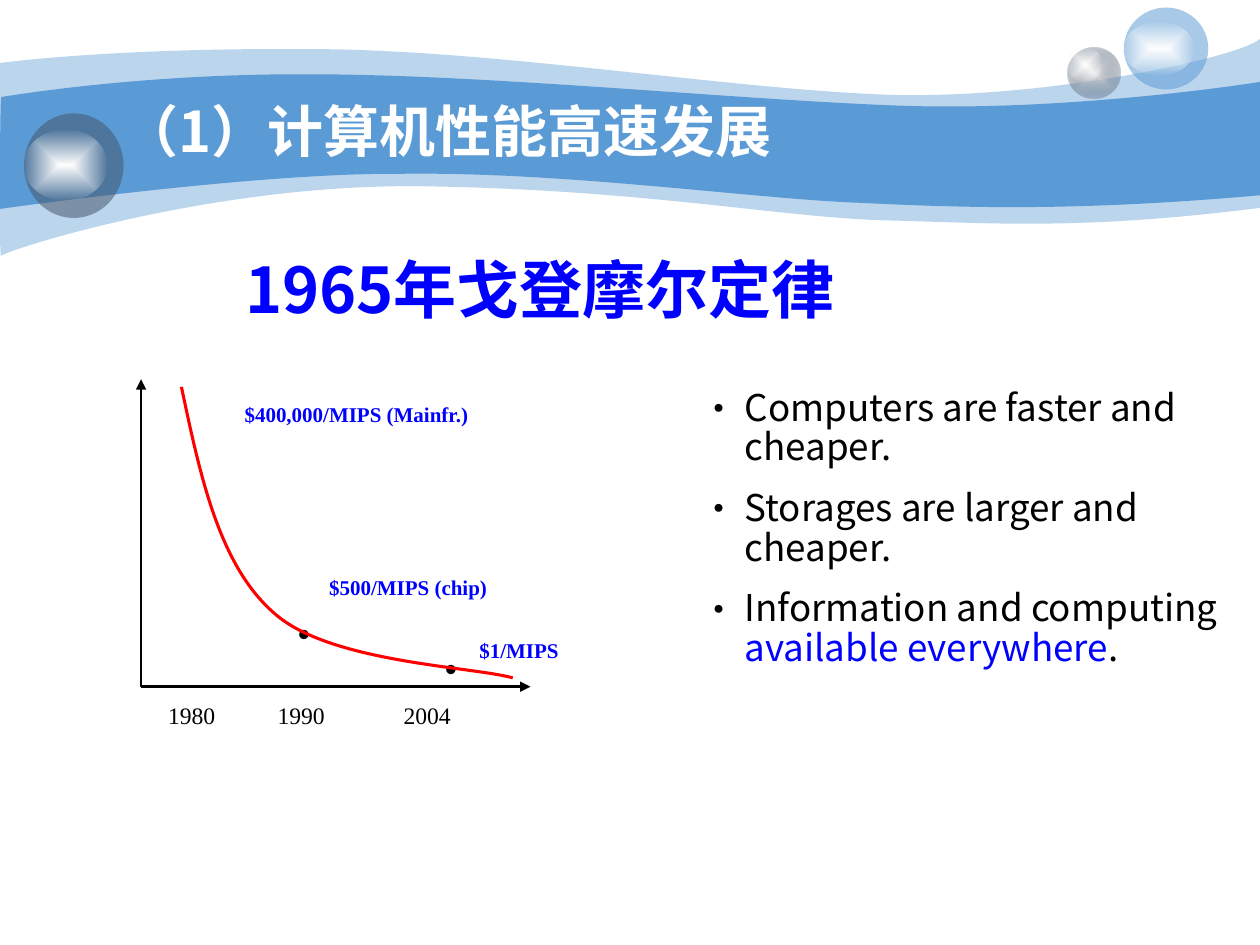
from typing import NamedTuple, Optional

from lxml import etree
from pptx import Presentation
from pptx.dml.color import RGBColor
from pptx.enum.shapes import MSO_CONNECTOR, MSO_SHAPE
from pptx.enum.text import MSO_ANCHOR, MSO_AUTO_SIZE, PP_ALIGN
from pptx.oxml import parse_xml
from pptx.oxml.ns import nsdecls, qn
from pptx.util import Emu, Inches, Pt

STRAIGHT, OVAL = MSO_CONNECTOR.STRAIGHT, MSO_SHAPE.OVAL
MIDDLE, TOP = MSO_ANCHOR.MIDDLE, MSO_ANCHOR.TOP
LEFT, CENTER = PP_ALIGN.LEFT, PP_ALIGN.CENTER
NO_FIT = MSO_AUTO_SIZE.NONE

SANS, SERIF = "Noto Sans CJK SC", "Times New Roman"
COLORS = {
    "white": "FFFFFF", "black": "000000", "blue": "0000FF", "red": "FF0000",
    "band": "5B9BD5", "slate": "44546A", "silver": "E2E3E5",
}

prs = Presentation()
prs.slide_width, prs.slide_height = Inches(10), Inches(7.5)
COLUMNS, ROWS = 100, 75
CELL_W, CELL_H = prs.slide_width / COLUMNS, prs.slide_height / ROWS


class Box(NamedTuple):
    col: float
    row: float
    cols: float
    rows: float

    def emu(self) -> tuple:
        return (*grid(self.col, self.row), *grid(self.cols, self.rows))


class Style(NamedTuple):
    size: float
    color: str
    font: str = SANS
    bold: bool = False


class Stop(NamedTuple):
    position: int
    color: str
    alpha: int


class Bubble(NamedTuple):
    box: Box
    stops: tuple


class Label(NamedTuple):
    text: str
    box: Box
    style: Style
    wrap: bool = False


def grid(col: float, row: float) -> tuple:
    return Emu(round(col * CELL_W)), Emu(round(row * CELL_H))


def rgb(name: str) -> RGBColor:
    return RGBColor.from_string(COLORS[name])


def color_xml(name: str, alpha: int) -> str:
    return f'<a:srgbClr val="{COLORS[name]}"><a:alpha val="{alpha * 1000}"/></a:srgbClr>'


def set_fill(sp, stops: tuple) -> None:
    """One stop gives a plain fill, more give a gradient from the centre outwards."""
    sp.fill.background()
    if len(stops) == 1:
        xml = f"<a:solidFill {nsdecls('a')}>{color_xml(stops[0].color, stops[0].alpha)}</a:solidFill>"
    else:
        marks = "".join(f'<a:gs pos="{s.position * 1000}">{color_xml(s.color, s.alpha)}</a:gs>'
                        for s in stops)
        xml = (f"<a:gradFill {nsdecls('a')} rotWithShape=\"1\"><a:gsLst>{marks}</a:gsLst>"
               '<a:path path="shape"><a:fillToRect l="50000" t="50000" r="50000" b="50000"/>'
               "</a:path></a:gradFill>")
    pr = sp._element.spPr
    pr.replace(pr.find(qn("a:noFill")), parse_xml(xml))


def add_bubble(bubble: Bubble) -> None:
    sp = slide.shapes.add_shape(OVAL, *bubble.box.emu())
    sp.shadow.inherit = False
    set_fill(sp, bubble.stops)
    sp.line.fill.background()


def add_curve(start: tuple, segments: tuple, closed: bool):
    """Segments of six numbers are cubic curves, segments of two are straight."""
    builder = slide.shapes.build_freeform(*grid(*start), scale=1.0)
    builder.add_line_segments([grid(*seg[-2:]) for seg in segments], close=closed)
    sp = builder.convert_to_shape()
    sp.shadow.inherit = False
    path = next(sp._element.iter(qn("a:path")))
    for seg, step in zip(segments, path.findall(qn("a:lnTo"))):
        if len(seg) == 2:
            continue
        curve = etree.Element(qn("a:cubicBezTo"))
        for col, row in zip(seg[::2], seg[1::2]):
            x, y = grid(col, row)
            etree.SubElement(curve, qn("a:pt"), x=str(x - sp.left), y=str(y - sp.top))
        path.replace(step, curve)
    return sp


def add_axis(start: tuple, end: tuple) -> None:
    axis = slide.shapes.add_connector(STRAIGHT, *grid(*start), *grid(*end))
    axis.line.color.rgb = rgb("black")
    axis.line.width = Pt(1.5)
    etree.SubElement(axis.line._get_or_add_ln(), qn("a:tailEnd"), type="triangle")
    etree.SubElement(axis._element.spPr, qn("a:effectLst"))


def add_run(p, text: str, style: Style):
    r = p.add_run()
    r.text = text
    r.font.size, r.font.bold, r.font.name = Pt(style.size), style.bold, style.font
    r.font.color.rgb = rgb(style.color)
    r._r.rPr.find(qn("a:latin")).addnext(
        parse_xml(f'<a:ea {nsdecls("a")} typeface="{style.font}"/>'))
    return r


def format_frame(sp, box: Box, anchor, wrap: bool = True):
    sp.left, sp.top, sp.width, sp.height = box.emu()
    tf = sp.text_frame
    tf.auto_size, tf.word_wrap, tf.vertical_anchor = NO_FIT, wrap, anchor
    return tf


def add_line_of_text(tf, text: str, style: Style, align, spacing: Optional[float] = None):
    p = tf.paragraphs[0]
    p.alignment, p.line_spacing = align, spacing
    return add_run(p, text, style)


def add_label(label: Label) -> None:
    sp = slide.shapes.add_textbox(*label.box.emu())
    tf = format_frame(sp, label.box, TOP, label.wrap)
    add_line_of_text(tf, label.text, label.style, CENTER)


def add_bullet(p) -> None:
    pPr = p._p.get_or_add_pPr()
    pPr.set("marL", str(Inches(0.25)))
    pPr.set("indent", str(-Inches(0.25)))
    color = etree.SubElement(pPr, qn("a:buClr"))
    etree.SubElement(color, qn("a:srgbClr"), val=COLORS["black"])
    etree.SubElement(pPr, qn("a:buSzPct"), val="50000")
    etree.SubElement(pPr, qn("a:buChar"), char="●")


OUTER_BAND = ((2.4, 4.7, 10.7, 3.8, 24.7, 3.9), (38.6, 3.9, 57.5, 7, 69.9, 7.5),
              (82.2, 8, 98, 4.7, 100, 3.1), (100, 16.5),
              (85.8, 18.3, 78.7, 17.7, 70.5, 17.5), (62.2, 17.3, 51.5, 15.1, 34.3, 14.8),
              (17.2, 14.4, 0.4, 19.9, 0.1, 20.3), (-0.1, 20.8, 0, 7.5, 0, 5))
INNER_BAND = ((0.2, 7.7, 11, 5.8, 24.8, 5.9), (38.6, 5.9, 59.5, 8, 71.8, 8.4),
              (84.1, 8.8, 97.6, 6.9, 100, 6.5), (100, 15.5),
              (85.3, 16.8, 76.5, 16.5, 68.2, 16.1), (59.9, 15.8, 44.7, 13.6, 31.7, 13.8),
              (20.3, 13.7, -0.2, 16.6, -0.1, 16.6), (0, 16.6, 0, 7.7, 0.1, 7.7))
PRICE_CURVE = ((15.9, 37.8, 17.4, 44.9, 21.8, 48.7), (26.2, 52.6, 37.5, 52.9, 40.7, 53.8))

GLOSS = (Stop(0, "white", 100), Stop(100, "white", 0))
BUBBLES = (
    Bubble(Box(84.7, 3.8, 4.2, 4), (Stop(0, "silver", 100), Stop(100, "slate", 31))),
    Bubble(Box(84.7, 3.8, 2.8, 2.7), GLOSS),
    Bubble(Box(89.2, 0.6, 6.7, 6.5), (Stop(0, "band", 53),)),
    Bubble(Box(89.2, 1.7, 5.6, 4.3), GLOSS),
    Bubble(Box(1.9, 9, 7.9, 8.3), (Stop(0, "slate", 53),)),
    Bubble(Box(1.9, 10.3, 6.6, 5.6), GLOSS),
)

YEAR = Style(13.5, "black", SERIF)
PRICE = Style(12, "blue", SERIF, True)
DOT = Style(45, "black", SERIF)
LABELS = (
    *(Label(year, Box(col, 55.1, 5.8, 3.3), YEAR)
      for year, col in (("1980", 12.3), ("1990", 21), ("2004", 31))),
    Label("$400,000/MIPS (Mainfr.)", Box(18.6, 31.4, 19.4, 3), PRICE),
    Label("$500/MIPS (chip)", Box(25.1, 45.1, 14.6, 3), PRICE),
    Label("$1/MIPS", Box(37, 50.1, 8.4, 3), PRICE),
    *(Label(".", Box(col, row, 4.1, 8.6), DOT, True)
      for col, row in ((33.8, 46.7), (22.1, 43.9))),
)

PLAIN, ACCENT = Style(21, "black"), Style(21, "blue")
POINTS = (
    (("Computers are faster and cheaper.", PLAIN),),
    (("Storages are larger and cheaper.", PLAIN),),
    (("Information and computing ", PLAIN), ("available everywhere", ACCENT), (".", PLAIN)),
)

slide = prs.slides.add_slide(prs.slide_layouts[1])

for start, segments, alpha in (((0, 5), OUTER_BAND, 41), ((0.1, 7.7), INNER_BAND, 100)):
    band = add_curve(start, segments, True)
    set_fill(band, (Stop(0, "band", alpha),))
    band.line.fill.background()
for bubble in BUBBLES:
    add_bubble(bubble)

banner_box = Box(9, 7.3, 62.8, 6.7)
tf = format_frame(slide.shapes.add_textbox(*banner_box.emu()), banner_box, MIDDLE)
tf.margin_left = tf.margin_right = Inches(0.07)
tf.margin_top = tf.margin_bottom = Inches(0.04)
r = add_line_of_text(tf, "（1）计算机性能高速发展", Style(32, "white", bold=True), LEFT, 0.9)
r._r.rPr.find(qn("a:solidFill")).addnext(parse_xml(
    f'<a:effectLst {nsdecls("a")}><a:outerShdw blurRad="38100" dist="38100" dir="2700000">'
    f'{color_xml("black", 43)}</a:outerShdw></a:effectLst>'))

tf = format_frame(slide.shapes.title, Box(0, 18.6, 85.7, 9.4), MIDDLE)
add_line_of_text(tf, "1965年戈登摩尔定律", Style(36, "blue", bold=True), CENTER, 0.9)

tf = format_frame(slide.placeholders[1], Box(55.6, 30.4, 44.4, 28.8), TOP)
for i, point in enumerate(POINTS):
    p = tf.add_paragraph() if i else tf.paragraphs[0]
    add_bullet(p)
    p.line_spacing, p.space_before = 0.9, Pt(12 if i else 0)
    for text, style in point:
        add_run(p, text, style)

ORIGIN = (11.2, 54.5)
for tip in ((42.1, 54.5), (11.2, 30.1)):
    add_axis(ORIGIN, tip)
for label in LABELS:
    add_label(label)
curve = add_curve((14.4, 30.7), PRICE_CURVE, False)
curve.fill.background()
curve.line.color.rgb = rgb("red")
curve.line.width = Pt(1.75)

prs.save("out.pptx")
